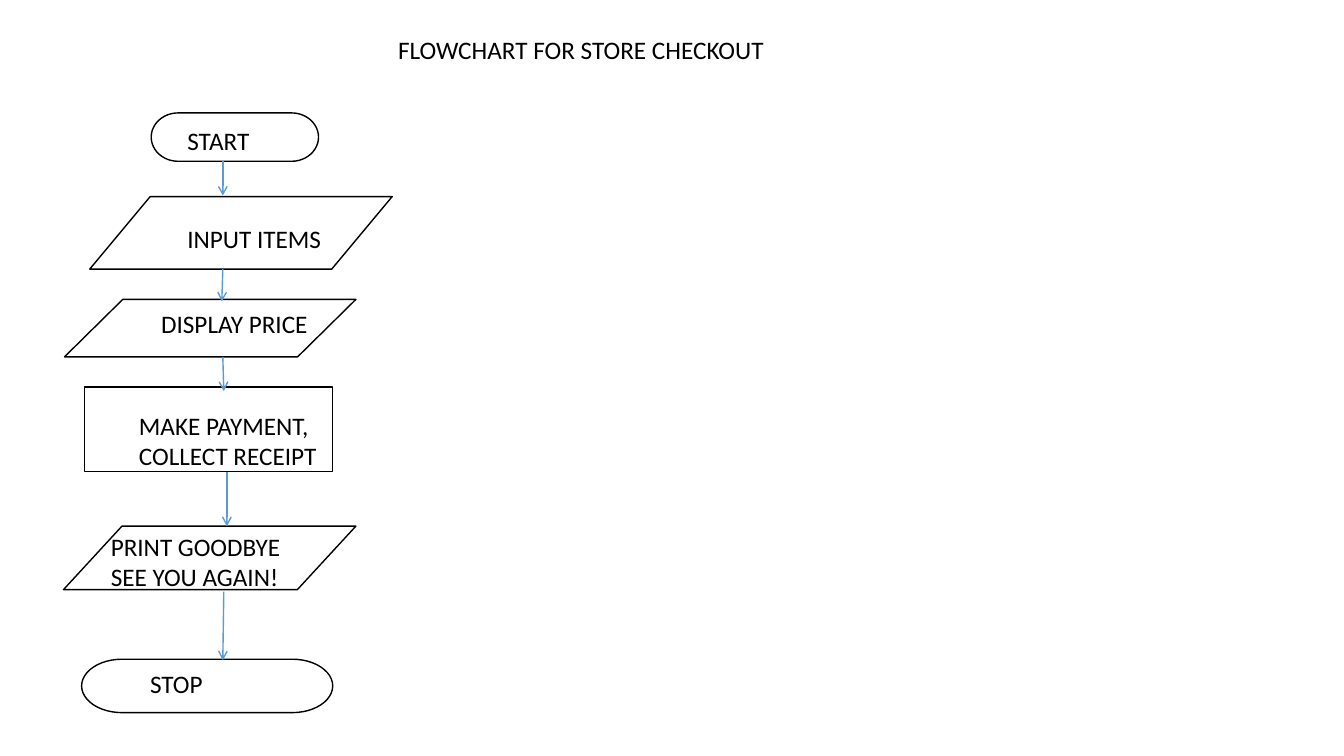
from lxml import etree
from pptx import Presentation, util as u
from pptx.dml.color import RGBColor
from pptx.enum import shapes, text
from pptx.oxml.ns import qn

INK, BLUE, FONT = "000000", "5B9BD5", "Calibri"
END = shapes.MSO_SHAPE.FLOWCHART_TERMINATOR
DATA = shapes.MSO_SHAPE.FLOWCHART_DATA
WORK = shapes.MSO_SHAPE.FLOWCHART_PROCESS

TITLE = (["FLOWCHART FOR STORE CHECKOUT"], (3.85, 0.29, 4.44, 0.4))
# kind, box (left, top, width, height), lines, label box
STEPS = [
    (END, (1.5, 1.12, 1.66, 0.48), ["START"], (1.76, 1.19, 4.44, 0.4)),
    (DATA, (0.89, 1.95, 3, 0.72), ["INPUT ITEMS"], (1.76, 2.17, 4.44, 0.4)),
    (DATA, (0.64, 2.97, 2.89, 0.57), ["DISPLAY PRICE"], (1.5, 3.01, 4.44, 0.4)),
    (WORK, (0.84, 3.84, 2.46, 0.84), ["MAKE PAYMENT,", "COLLECT RECEIPT"],
     (1.28, 4.02, 5.43, 1.01)),
    (DATA, (0.63, 5.22, 2.9, 0.63), ["PRINT GOODBYE", "SEE YOU AGAIN!"],
     (1, 5.22, 5.71, 1.01)),
    (END, (0.81, 6.54, 2.49, 0.53), ["STOP"], (1.39, 6.58, 4.44, 0.4)),
]
# start x, end x, gap below the upper step, overlap into the lower step
ARROWS = [(2.21, 2.21, 0, -0.01), (2.21, 2.2, 0, 0.02), (2.21, 2.22, 0, 0.04),
          (2.25, 2.25, 0, 0), (2.22, 2.21, 0.02, 0.01)]


def inches(nums):
    return [u.Inches(n) for n in nums]


def color(code):
    return RGBColor.from_string(code)


def stroke(item, code):
    item.line.color.rgb = color(code)
    item.line.width = u.Pt(1)


def label(slide, lines, box):
    frame = slide.shapes.add_textbox(*inches(box)).text_frame
    frame.word_wrap = True
    frame.auto_size = text.MSO_AUTO_SIZE.SHAPE_TO_FIT_TEXT
    for i, line in enumerate(lines):
        para = frame.add_paragraph() if i else frame.paragraphs[0]
        run = para.add_run()
        run.text = line
        run.font.size = u.Pt(18)
        run.font.name = FONT
        run.font.color.rgb = color(INK)


def step(slide, kind, box):
    shape = slide.shapes.add_shape(kind, *inches(box))
    shape.shadow.inherit = False
    shape.fill.background()
    stroke(shape, INK)


def arrow(slide, ends):
    link = slide.shapes.add_connector(shapes.MSO_CONNECTOR.STRAIGHT, *inches(ends))
    stroke(link, BLUE)
    etree.SubElement(link.line._get_or_add_ln(), qn("a:tailEnd"), type="arrow")
    etree.SubElement(link._element.spPr, qn("a:effectLst"))


def main():
    deck = Presentation()
    deck.slide_width, deck.slide_height = inches((13.33, 7.5))
    slide = deck.slides.add_slide(deck.slide_layouts[6])
    label(slide, *TITLE)
    for kind, box, lines, spot in STEPS:
        step(slide, kind, box)
        label(slide, lines, spot)
    for upper, lower, (x1, x2, gap, lap) in zip(STEPS, STEPS[1:], ARROWS):
        base = upper[1][1] + upper[1][3]
        arrow(slide, (x1, base + gap, x2, lower[1][1] + lap))
    deck.save("out.pptx")


if __name__ == "__main__":
    main()
